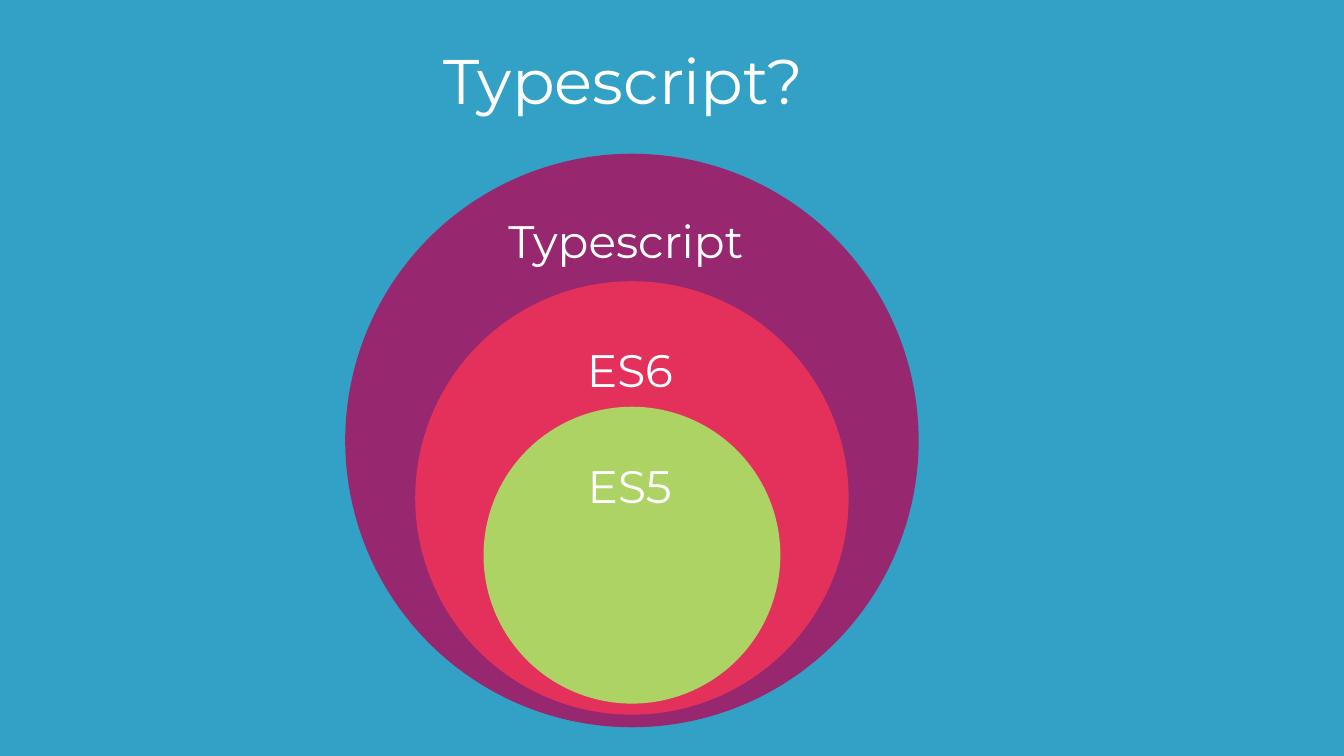
"""Build a slide of nested circles relating Typescript, ES6 and ES5."""
from dataclasses import dataclass

from pptx import Presentation
from pptx.dml.color import RGBColor
from pptx.enum.shapes import MSO_SHAPE
from pptx.enum.text import MSO_ANCHOR, MSO_AUTO_SIZE, PP_ALIGN
from pptx.slide import Slide
from pptx.util import Inches, Pt

OVAL = MSO_SHAPE.OVAL
LEFT = PP_ALIGN.LEFT
BOTTOM, MIDDLE = MSO_ANCHOR.BOTTOM, MSO_ANCHOR.MIDDLE
FIXED, GROW = MSO_AUTO_SIZE.NONE, MSO_AUTO_SIZE.SHAPE_TO_FIT_TEXT

COLORS = {
    "background": "33A1C5",
    "purple": "97286F",
    "red": "E4315C",
    "green": "ACD364",
    "white": "FFFFFF",
}
FONT = "Montserrat"
CENTER = 12.54
INSET = 0.06
LABEL_HEIGHT = 0.9
TITLE_FORMAT = {"vertical_anchor": BOTTOM, "word_wrap": True, "auto_size": FIXED}
LABEL_FORMAT = {"vertical_anchor": MIDDLE, "word_wrap": False, "auto_size": GROW}


@dataclass(frozen=True)
class Ring:
    name: str
    color: str
    top: float
    diameter: float
    label_top: float
    label_width: float


RINGS = (
    Ring("Typescript", "purple", 3.05, 11.38, 4.05, 5.02),
    Ring("ES6", "red", 5.58, 8.6, 6.61, 1.91),
    Ring("ES5", "green", 8.07, 5.89, 8.9, 1.88),
)


def rgb(name: str) -> RGBColor:
    return RGBColor.from_string(COLORS[name])


def add_text(slide: Slide, text: str, box: tuple[float, float, float, float],
             size: float, spacing: float, frame_format: dict) -> None:
    shape = slide.shapes.add_textbox(*map(Inches, box))
    frame = shape.text_frame
    margins = {f"margin_{side}": Inches(INSET) for side in ("left", "top", "right", "bottom")}
    for attribute, value in (margins | frame_format).items():
        setattr(frame, attribute, value)
    paragraph = frame.paragraphs[0]
    paragraph.alignment = LEFT
    paragraph.line_spacing = spacing
    run = paragraph.add_run()
    run.text = text
    for attribute, value in {"name": FONT, "size": Pt(size)}.items():
        setattr(run.font, attribute, value)
    run.font.color.rgb = rgb("white")


def add_circle(slide: Slide, ring: Ring) -> None:
    left = CENTER - ring.diameter / 2
    box = (left, ring.top, ring.diameter, ring.diameter)
    shape = slide.shapes.add_shape(OVAL, *map(Inches, box))
    shape.shadow.inherit = False
    shape.fill.solid()
    shape.fill.fore_color.rgb = rgb(ring.color)
    shape.line.fill.background()


def add_label(slide: Slide, ring: Ring) -> None:
    left = CENTER - ring.label_width / 2
    box = (left, ring.label_top, ring.label_width, LABEL_HEIGHT)
    add_text(slide, ring.name, box, 65, 1.5, LABEL_FORMAT)


def main() -> None:
    presentation = Presentation()
    presentation.slide_width = Inches(26.67)
    presentation.slide_height = Inches(15)
    slide = presentation.slides.add_slide(presentation.slide_layouts[6])
    slide.background.fill.solid()
    slide.background.fill.fore_color.rgb = rgb("background")

    add_text(slide, "Typescript?", (8.75, 0.77, 8.02, 1.62), 90, 1.0, TITLE_FORMAT)
    for ring in RINGS:
        add_circle(slide, ring)
    for ring in RINGS:
        add_label(slide, ring)
    presentation.save("out.pptx")


if __name__ == "__main__":
    main()
